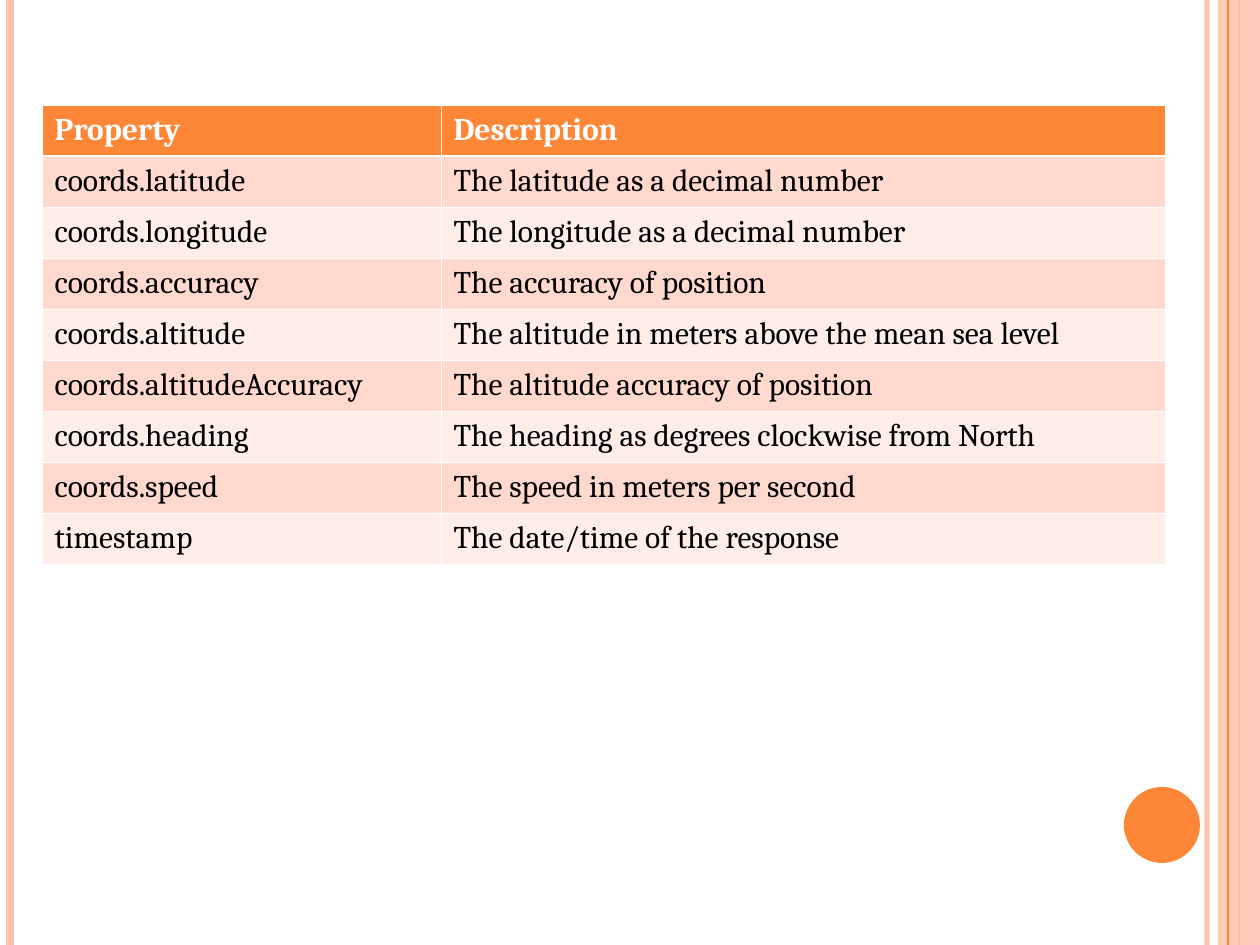
from dataclasses import dataclass
from pptx import Presentation
from pptx.dml.color import RGBColor
from pptx.enum.shapes import MSO_CONNECTOR, MSO_SHAPE
from pptx.enum.text import MSO_ANCHOR
from pptx.oxml.ns import qn
from pptx.util import Pt
from lxml.etree import SubElement

SCALE = 914400 / 126


def px(*vals):
    return [round(v * SCALE) for v in vals]


@dataclass
class Theme:
    main: str = "FE8637"
    pale: str = "FEC3AE"
    odd: str = "FFD9CE"
    even: str = "FFEDE8"
    white: str = "FFFFFF"
    black: str = "000000"
    font: str = "Cambria"
    size: int = 18
    thin: float = 0.45
    thick: float = 1.47


def apply(obj, **vals):
    for name, val in vals.items():
        setattr(obj, name, val)


def fade(item, part):
    """Set the opacity of the first colour of an item, in percent."""
    color = next(item.element.spPr.iter(qn("a:srgbClr")))
    SubElement(color, qn("a:alpha"), val=str(part * 1000))


class Page:
    def __init__(self, deck, theme):
        self.theme = theme
        self.slide = deck.slides.add_slide(deck.slide_layouts[6])
        self.shapes = self.slide.shapes
        self.fill(self.slide.background, theme.white)

    def fill(self, item, color):
        item.fill.solid()
        item.fill.fore_color.rgb = RGBColor.from_string(color)

    def rule(self, x, color, width, part=100):
        line = self.shapes.add_connector(MSO_CONNECTOR.STRAIGHT, *px(x, 0, x, 945))
        line.line.width = Pt(width)
        line.line.color.rgb = RGBColor.from_string(color)
        SubElement(line.element.spPr, qn("a:effectLst"))
        if part < 100:
            fade(line, part)

    def shape(self, kind, box, color, part=100):
        item = self.shapes.add_shape(kind, *px(*box))
        item.shadow.inherit = False
        self.fill(item, color)
        item.line.fill.background()
        if part < 100:
            fade(item, part)

    def edge(self, cell, side, width):
        props = cell._tc.get_or_add_tcPr()
        line = SubElement(props, qn("a:ln" + side), w=str(Pt(width)))
        SubElement(SubElement(line, qn("a:solidFill")), qn("a:srgbClr"), val=self.theme.white)

    def cell(self, cell, text, row):
        look = self.theme
        head = row == 0
        # Borders come before the fill; the rule under the header is thicker
        widths = dict.fromkeys("LRTB", look.thin)
        if row < 2:
            widths["B" if head else "T"] = look.thick
        for side, width in widths.items():
            self.edge(cell, side, width)
        self.fill(cell, look.main if head else look.odd if row % 2 else look.even)
        cell.text = text
        cell.vertical_anchor = MSO_ANCHOR.MIDDLE
        font = cell.text_frame.paragraphs[0].runs[0].font
        apply(font, name=look.font, size=Pt(look.size), bold=head)
        font.color.rgb = RGBColor.from_string(look.white if head else look.black)

    def table(self, left, top, cols, high, rows):
        box = px(left, top, sum(cols), high * len(rows))
        grid = self.shapes.add_table(len(rows), len(cols), *box).table
        for col, wide in zip(grid.columns, px(*cols)):
            col.width = wide
        for r, row in enumerate(rows):
            grid.rows[r].height = px(high)[0]
            for c, text in enumerate(row):
                self.cell(grid.cell(r, c), text, r)


ROWS = [
    ("Property", "Description"),
    ("coords.latitude", "The latitude as a decimal number"),
    ("coords.longitude", "The longitude as a decimal number"),
    ("coords.accuracy", "The accuracy of position"),
    ("coords.altitude", "The altitude in meters above the mean sea level"),
    ("coords.altitudeAccuracy", "The altitude accuracy of position"),
    ("coords.heading", "The heading as degrees clockwise from North"),
    ("coords.speed", "The speed in meters per second"),
    ("timestamp", "The date/time of the response"),
]

deck = Presentation()
apply(deck, **dict(zip(("slide_width", "slide_height"), px(1260, 945))))
theme = Theme()
page = Page(deck, theme)

# Side bands and rules
page.rule(1207, theme.pale, 3, 93)
page.rule(10, theme.pale, 4.5)
page.rule(1239, theme.main, 1.5)
page.shape(MSO_SHAPE.RECTANGLE, (1218, 0, 42, 945), theme.pale, 87)
page.rule(1228, theme.main, 0.75)

# Corner disc
page.shape(MSO_SHAPE.OVAL, (1124, 787, 76, 76), theme.main)

# Property table
page.table(42, 105, (399, 724), 51, ROWS)

deck.save("out.pptx")
